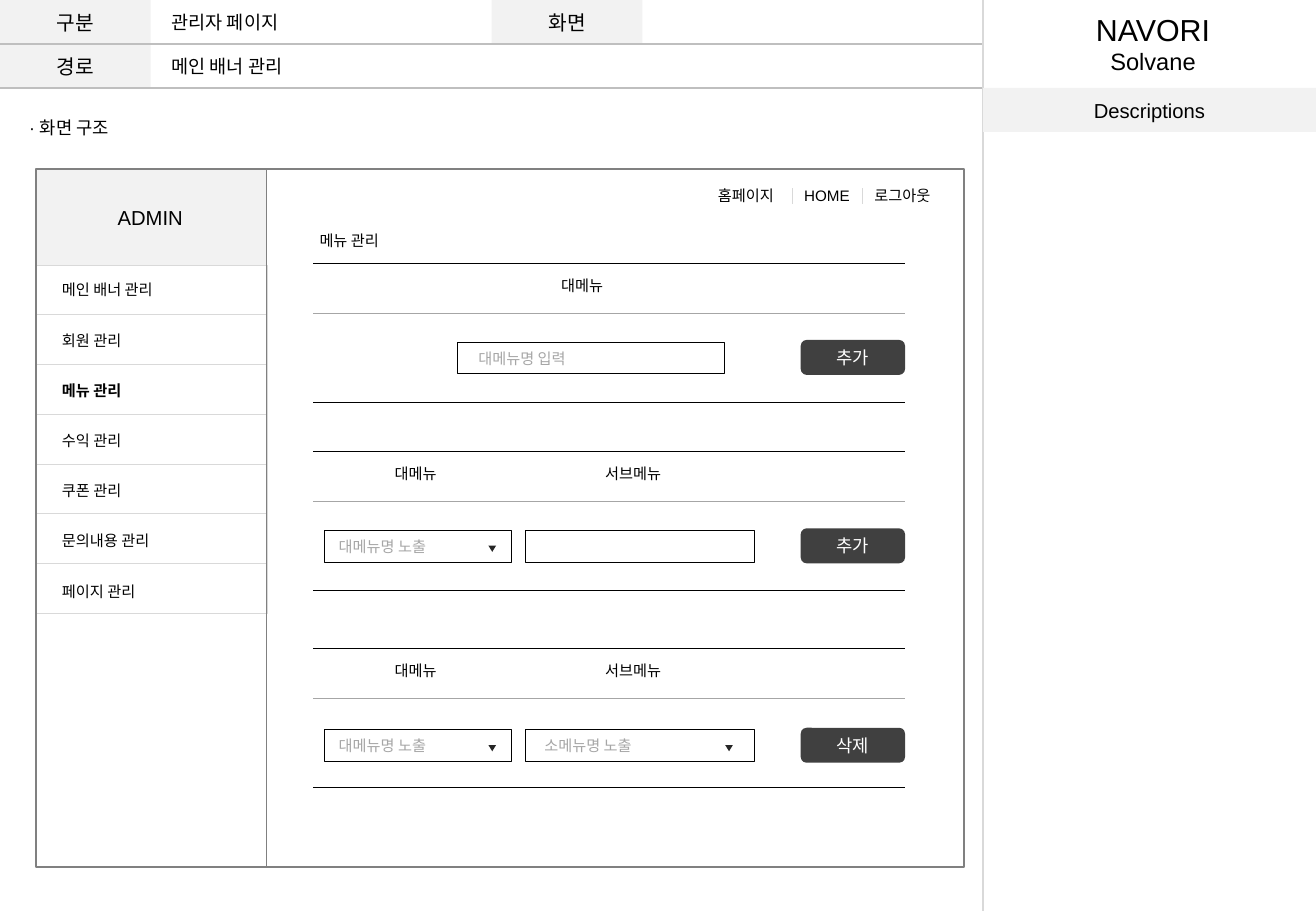
from lxml import etree
from pptx import Presentation
from pptx.dml.color import RGBColor
from pptx.enum.shapes import MSO_CONNECTOR, MSO_SHAPE
from pptx.enum.text import MSO_ANCHOR, MSO_AUTO_SIZE, PP_ALIGN
from pptx.oxml.ns import qn
from pptx.util import Cm, Pt

RECT, ROUNDED, TRIANGLE = MSO_SHAPE.RECTANGLE, MSO_SHAPE.ROUNDED_RECTANGLE, MSO_SHAPE.ISOSCELES_TRIANGLE
STRAIGHT = MSO_CONNECTOR.STRAIGHT
LEFT, CENTER = PP_ALIGN.LEFT, PP_ALIGN.CENTER
TOP, MIDDLE = MSO_ANCHOR.TOP, MSO_ANCHOR.MIDDLE
NO_FIT = MSO_AUTO_SIZE.NONE

BLACK = RGBColor(0x00, 0x00, 0x00)
WHITE = RGBColor(0xFF, 0xFF, 0xFF)
PANEL = RGBColor(0xF2, 0xF2, 0xF2)
PALE = RGBColor(0xD9, 0xD9, 0xD9)
SILVER = RGBColor(0xBF, 0xBF, 0xBF)
HINT = RGBColor(0xA6, 0xA6, 0xA6)
FRAME = RGBColor(0x80, 0x80, 0x80)
BUTTON = RGBColor(0x40, 0x40, 0x40)
ARROW = RGBColor(0x26, 0x26, 0x26)

SLIDE_W, SLIDE_H = 27.51, 19.05
SIDE_X = 20.55
HEAD_H = 0.92
HEAD_W = 3.15
FRAME_X, FRAME_Y, FRAME_H = 0.76, 3.53, 14.6
MENU_W, MENU_Y, MENU_ROW = 4.82, 5.54, 1.04
MAIN_LEFT, MAIN_RIGHT = 6.55, 18.92
FIELD_H = 0.66
MENU = ["메인 배너 관리", "회원 관리", "메뉴 관리", "수익 관리", "쿠폰 관리", "문의내용 관리", "페이지 관리"]
CURRENT_MENU = "메뉴 관리"


class Wireframe:
    """Draws styled elements on one slide; all lengths are centimetres."""

    font = "Arial"

    def __init__(self, slide):
        self.slide = slide

    def style(self, frame, size, color=BLACK, align=LEFT, anchor=TOP):
        frame.auto_size = NO_FIT
        frame.word_wrap = False
        frame.vertical_anchor = anchor
        for paragraph in frame.paragraphs:
            paragraph.alignment = align
            for run in paragraph.runs:
                run.font.name = self.font
                run.font.size = Pt(size)
                run.font.color.rgb = color

    def place(self, shape, x, y, w, h):
        shape.left, shape.top, shape.width, shape.height = Cm(x), Cm(y), Cm(w), Cm(h)

    def title(self, text, x, y, w, h, size):
        title = self.slide.shapes.title
        self.place(title, x, y, w, h)
        title.text_frame.text = text
        self.style(title.text_frame, size)

    def menu(self, items, current, x, y, w, pitch, size):
        """Fills the body placeholder with one item per fixed-height line."""
        body = self.slide.placeholders[1]
        self.place(body, x, y, w, pitch * len(items))
        frame = body.text_frame
        frame.text = "\n".join(items)
        frame.margin_top = frame.margin_bottom = 0
        self.style(frame, size)
        for paragraph in frame.paragraphs:
            paragraph.line_spacing = Cm(pitch)
            paragraph.space_before = Pt(0)
            paragraph.runs[0].font.bold = paragraph.text == current
            properties = paragraph._p.get_or_add_pPr()
            properties.set("marL", "0")
            properties.set("indent", "0")
            etree.SubElement(properties, qn("a:buNone"))

    def label(self, text, x, y, w, h=0.64, size=9, color=BLACK, align=LEFT):
        box = self.slide.shapes.add_textbox(Cm(x), Cm(y), Cm(w), Cm(h))
        box.text_frame.text = text
        self.style(box.text_frame, size, color, align)
        return box.text_frame

    def box(self, x, y, w, h, fill=None, line=None, weight=0.25, kind=RECT):
        shape = self.slide.shapes.add_shape(kind, Cm(x), Cm(y), Cm(w), Cm(h))
        shape.shadow.inherit = False
        if fill is None:
            shape.fill.background()
        else:
            shape.fill.solid()
            shape.fill.fore_color.rgb = fill
        if line is None:
            shape.line.fill.background()
        else:
            shape.line.color.rgb = line
            shape.line.width = Pt(weight)
        return shape

    def cell(self, text, x, y, w, h, size=12, fill=PANEL, color=BLACK, kind=RECT):
        shape = self.box(x, y, w, h, fill, kind=kind)
        shape.text_frame.text = text
        self.style(shape.text_frame, size, color, CENTER, MIDDLE)

    def line(self, x1, y1, x2, y2, color):
        rule = self.slide.shapes.add_connector(STRAIGHT, Cm(x1), Cm(y1), Cm(x2), Cm(y2))
        rule.line.color.rgb = color
        rule.line.width = Pt(0.75)
        etree.SubElement(rule._element.spPr, qn("a:effectLst"))

    def section(self, top, headings, fields, action, drop=1.64):
        """Draws a form block; a field is (x, width, hint, hint x, arrow x)."""
        for offset, color in ((0, BLACK), (1.04, HINT), (2.9, BLACK)):
            self.line(MAIN_LEFT, top + offset, MAIN_RIGHT, top + offset, color)
        for text, x, w in headings:
            self.label(text, x, top + 0.14, w)
        field_y = top + drop
        for x, w, hint, hint_x, arrow_x in fields:
            self.box(x, field_y, w, FIELD_H, line=BLACK)
            if hint:
                self.label(hint, hint_x, field_y + 0.02, 2.51, color=HINT)
            if arrow_x:
                arrow = self.box(arrow_x, field_y + 0.32, 0.16, 0.13, ARROW, kind=TRIANGLE)
                arrow.rotation = 180
        self.cell(action, 16.74, field_y - 0.04, 2.18, 0.73, 10.5, BUTTON, WHITE, ROUNDED)


def main():
    deck = Presentation()
    deck.slide_width, deck.slide_height = Cm(SLIDE_W), Cm(SLIDE_H)
    page = Wireframe(deck.slides.add_slide(deck.slide_layouts[1]))

    # Header and description column
    page.title("관리자 페이지", 3.33, 0.1, 2.97, 0.74, 11)
    page.label("메인 배너 관리", 3.33, 1.02, 3.07, 0.74, 11)
    for text, x, y in (("구분", 0, 0), ("화면", 10.28, 0), ("경로", 0, HEAD_H)):
        page.cell(text, x, y, HEAD_W, HEAD_H)
    for y in (HEAD_H, 2 * HEAD_H):
        page.line(0, y, SIDE_X, y, SILVER)
    page.line(SIDE_X, 0, SIDE_X, SLIDE_H, PALE)
    page.cell("Descriptions", SIDE_X, 2 * HEAD_H, SLIDE_W - SIDE_X, HEAD_H)
    project = page.label("NAVORI\nSolvane", 22.43, 0.1, 3.35, 1.63, 18, align=CENTER)
    project.paragraphs[1].runs[0].font.size = Pt(14)
    page.label("· 화면 구조", 0.36, 2.31, 2.41, 0.74, 10.5)

    # Window frame and sidebar
    page.box(FRAME_X, FRAME_Y, MENU_W, MENU_Y - FRAME_Y, PANEL)
    page.label("ADMIN", 2.21, 4.17, 1.88, 0.76, 12)
    page.box(FRAME_X, FRAME_Y, 19.4, FRAME_H, line=FRAME, weight=1)
    for row in range(len(MENU)):
        page.box(FRAME_X, MENU_Y + row * MENU_ROW, MENU_W, MENU_ROW, line=PALE)
    page.box(FRAME_X, FRAME_Y, MENU_W, FRAME_H, line=FRAME, weight=0.5)
    page.menu(MENU, CURRENT_MENU, 1.04, 5.2, 4.4, 1.05, 9)

    # Top links
    for text, x, w in (("홈페이지", 14.76, 1.8), ("HOME", 16.56, 1.47), ("로그아웃", 18.03, 1.8)):
        page.label(text, x, 3.78, w)
    for x in (16.56, 18.03):
        page.line(x, 3.94, x, 4.27, PALE)

    # Menu forms
    page.label("메뉴 관리", 6.43, 4.72, 1.88)
    headings = [("대메뉴", 8, 1.47), ("서브메뉴", 12.4, 1.8)]
    parent = (6.78, 3.91, "대메뉴명 노출", 6.83, 10.21)
    page.section(5.51, [("대메뉴", 11.48, 1.47)], [(9.55, 5.59, "대메뉴명 입력", 9.75, None)], "추가")
    page.section(9.45, headings, [parent, (10.97, 4.8, None, None, None)], "추가")
    page.section(13.56, headings, [parent, (10.97, 4.8, "소메뉴명 노출", 11.13, 15.16)], "삭제", 1.7)

    deck.save("out.pptx")


if __name__ == "__main__":
    main()
